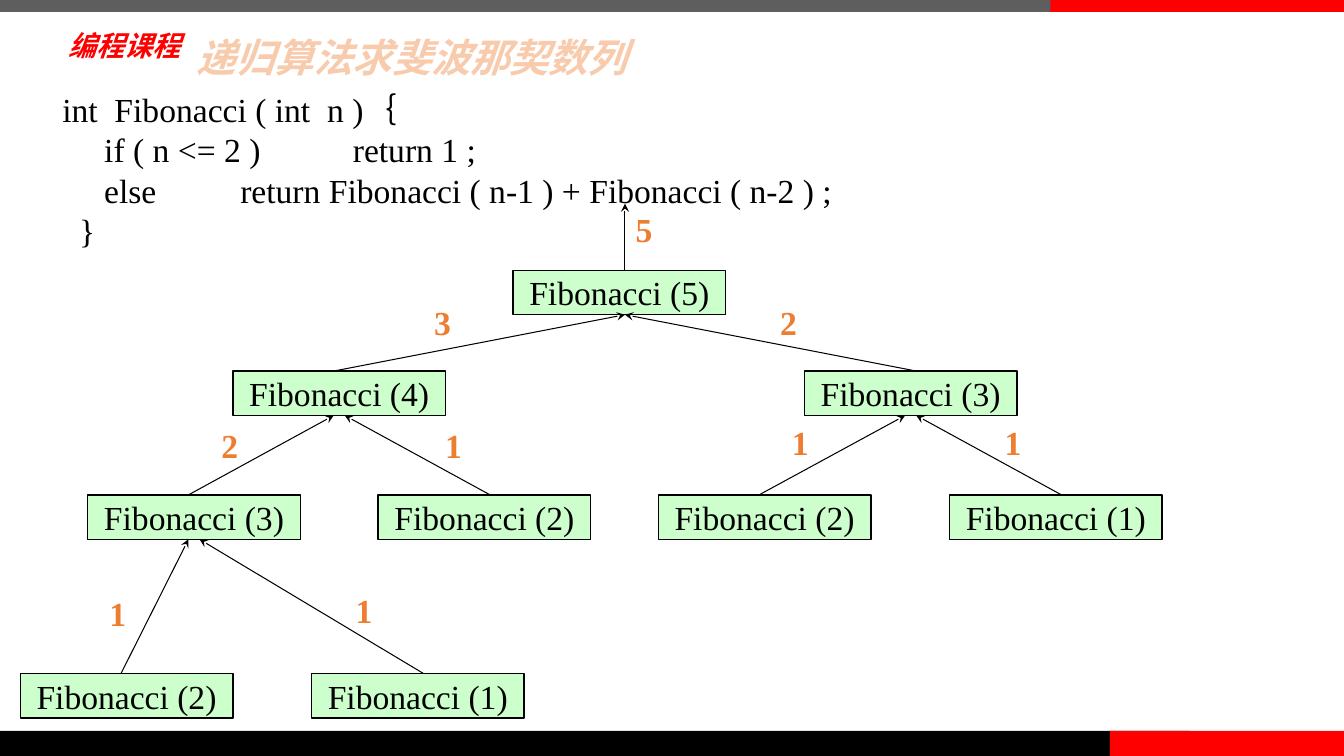
"""Build a slide showing the recursive call tree of Fibonacci (5)."""
import lxml.etree
import pptx
import pptx.dml.color
import pptx.enum.shapes
import pptx.enum.text
import pptx.oxml.ns
import pptx.util
from pptx.util import Cm

COLORS = {"black": "000000", "gray": "5E5E5E", "red": "FF0000",
          "green": "CCFFCC", "orange": "ED7D31", "peach": "F8CBAD"}
NODE_WIDTH, NODE_HEIGHT = 5.36, 1.12
LEFT_PORT, RIGHT_PORT = 2.54, 2.82


def color(name):
    return pptx.dml.color.RGBColor.from_string(COLORS[name])


def set_text(shape, text, size, font_name, color_name, bold=False, italic=False,
             margin=(0.25, 0.13), wrap=False):
    frame = shape.text_frame
    frame.text = text
    frame.word_wrap = wrap
    frame.auto_size = pptx.enum.text.MSO_AUTO_SIZE.NONE
    frame.margin_left = frame.margin_right = Cm(margin[0])
    frame.margin_top = frame.margin_bottom = Cm(margin[1])
    for paragraph in frame.paragraphs:
        for run in paragraph.runs:
            run.font.size = pptx.util.Pt(size)
            run.font.name = font_name
            run.font.bold = bold
            run.font.italic = italic
            run.font.color.rgb = color(color_name)
            east_asian = lxml.etree.SubElement(
                run.font._element, pptx.oxml.ns.qn("a:ea"))
            east_asian.set("typeface", "Noto Sans CJK SC")
    return frame


presentation = pptx.Presentation()
presentation.slide_width = Cm(33.87)
presentation.slide_height = Cm(19.05)
slide = presentation.slides.add_slide(presentation.slide_layouts[5])
shapes = slide.shapes

bars = [(0, 0, 27.46, 0.3, "gray"), (26.47, 0, 7.4, 0.3, "red"),
        (0, 18.42, 29.97, 0.63, "black"), (27.97, 18.42, 5.9, 0.63, "red")]
for left, top, width, height, fill in bars:
    bar = shapes.add_shape(pptx.enum.shapes.MSO_SHAPE.RECTANGLE,
                           Cm(left), Cm(top), Cm(width), Cm(height))
    bar.shadow.inherit = False
    bar.fill.solid()
    bar.fill.fore_color.rgb = color(fill)
    bar.line.fill.background()

course_name = shapes.add_textbox(Cm(1.57), Cm(0.56), Cm(3.25), Cm(1.14))
frame = set_text(course_name, "编程课程", 20, "Roboto", "red",
                 bold=True, italic=True, margin=(0.15, 0.15))
frame.vertical_anchor = pptx.enum.text.MSO_ANCHOR.MIDDLE

title = shapes.title
title.left, title.top, title.width, title.height = Cm(4.62), Cm(0.89), Cm(28.24), Cm(1.37)
frame = set_text(title, "递归算法求斐波那契数列", 28, "Noto Sans CJK SC", "peach",
                 bold=True, italic=True, margin=(0.33, 0.18), wrap=True)
frame.vertical_anchor = pptx.enum.text.MSO_ANCHOR.TOP
frame.paragraphs[0].alignment = pptx.enum.text.PP_ALIGN.LEFT
frame.paragraphs[0].line_spacing = 0.8

code = """int  Fibonacci ( int  n )｛
     if ( n <= 2 )           return 1 ;
     else          return Fibonacci ( n-1 ) + Fibonacci ( n-2 ) ;
  }"""
code_box = shapes.add_textbox(Cm(1.32), Cm(2.11), Cm(20.09), Cm(4.37))
set_text(code_box, code, 24, "Times New Roman", "black")

level_tops = [6.81, 9.35, 12.47, 16.97]
nodes = {
    "root": (5, 0, 12.93),
    "left": (4, 1, 5.87), "right": (3, 1, 20.27),
    "left left": (3, 2, 2.21), "left right": (2, 2, 9.53),
    "right left": (2, 2, 16.59), "right right": (1, 2, 23.93),
    "left left left": (2, 3, 0.51), "left left right": (1, 3, 7.85),
}
arrows = [(12.93 + RIGHT_PORT, level_tops[0], 12.93 + RIGHT_PORT, 5.13)]
for name, (number, level, left) in nodes.items():
    top = level_tops[level]
    node = shapes.add_shape(pptx.enum.shapes.MSO_SHAPE.RECTANGLE,
                            Cm(left), Cm(top), Cm(NODE_WIDTH), Cm(NODE_HEIGHT))
    node.shadow.inherit = False
    node.fill.solid()
    node.fill.fore_color.rgb = color("green")
    node.line.color.rgb = color("black")
    node.line.width = pptx.util.Pt(1)
    frame = set_text(node, f"Fibonacci ({number})", 24, "Times New Roman", "black")
    frame.vertical_anchor = pptx.enum.text.MSO_ANCHOR.MIDDLE
    frame.paragraphs[0].alignment = pptx.enum.text.PP_ALIGN.CENTER
    if name != "root":
        parent = name.rpartition(" ")[0] or "root"
        port = LEFT_PORT if name.endswith("left") else RIGHT_PORT
        parent_port = RIGHT_PORT if parent == "root" else port
        arrows.append((left + port, top, nodes[parent][2] + parent_port,
                       level_tops[level - 1] + NODE_HEIGHT))

for start_x, start_y, end_x, end_y in arrows:
    arrow = shapes.add_connector(pptx.enum.shapes.MSO_CONNECTOR.STRAIGHT,
                                 Cm(start_x), Cm(start_y), Cm(end_x), Cm(end_y))
    arrow.line.color.rgb = color("black")
    arrow.line.width = pptx.util.Pt(0.75)
    tail = lxml.etree.SubElement(arrow.line._get_or_add_ln(), pptx.oxml.ns.qn("a:tailEnd"))
    tail.set("type", "stealth")
    lxml.etree.SubElement(arrow._element.spPr, pptx.oxml.ns.qn("a:effectLst"))

return_values = [
    (5, 15.77, 5.41), (3, 10.69, 7.75), (2, 19.41, 7.75),
    (2, 5.33, 10.85), (1, 10.97, 10.85), (1, 19.71, 10.77), (1, 25.07, 10.77),
    (1, 2.51, 15.09), (1, 8.71, 15.01),
]
for value, left, top in return_values:
    label = shapes.add_textbox(Cm(left), Cm(top), Cm(0.94), Cm(0.99))
    frame = set_text(label, str(value), 24, "Times New Roman", "orange", bold=True)
    frame.paragraphs[0].line_spacing = 0.7

presentation.save("out.pptx")
